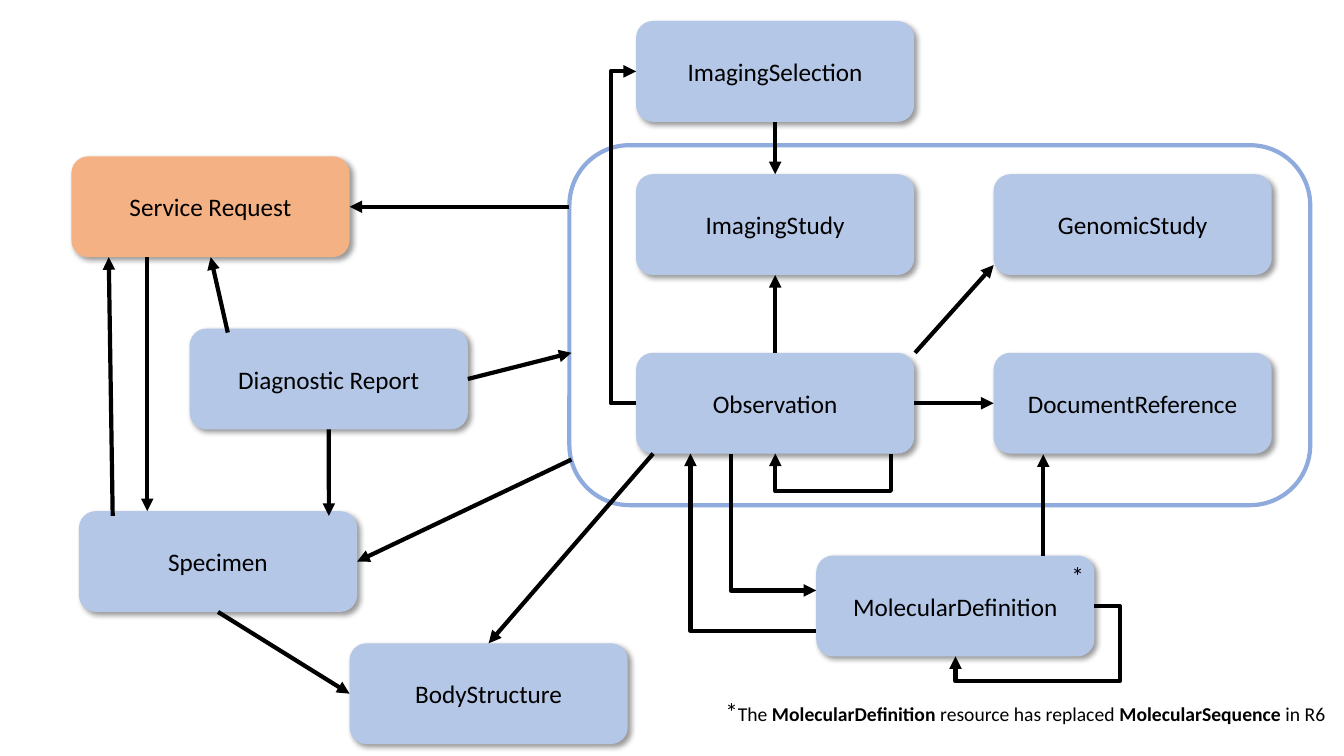
from dataclasses import dataclass

from lxml import etree
from pptx import Presentation
from pptx import util as u
from pptx.dml.color import RGBColor
from pptx.enum import shapes, text
from pptx.oxml.ns import qn


@dataclass(frozen=True)
class Theme:
    """Colours, type sizes and line width of the diagram."""
    font: str = "Calibri"
    ink: str = "000000"
    blue: str = "B4C7E7"
    orange: str = "F4B183"
    edge: str = "8FAADC"
    body: int = 18
    note: int = 14
    stroke: int = 3


class Board:
    """Draws the elements of one slide in a given theme."""

    def __init__(self, slide, theme):
        """Keep the slide and the theme."""
        self.shapes, self.theme = slide.shapes, theme

    def letter(self, para, runs):
        """Fill a paragraph with (words, size, bold) runs."""
        para.font.name = self.theme.font
        para.font.color.rgb = RGBColor.from_string(self.theme.ink)
        if len({size for _, size, _ in runs}) == 1:
            para.font.size = u.Pt(runs[0][1])
        for words, size, bold in runs:
            run = para.add_run()
            run.text = words
            if para.font.size is None:
                run.font.size = u.Pt(size)
            if bold:
                run.font.bold = True

    def round(self, x, y, w, h):
        """Add a plain rounded rectangle."""
        kind = shapes.MSO_SHAPE.ROUNDED_RECTANGLE
        shape = self.shapes.add_shape(kind, u.Cm(x), u.Cm(y), u.Cm(w), u.Cm(h))
        shape.shadow.inherit = False
        return shape

    def frame(self, x, y, w, h):
        """Add the outlined group frame."""
        shape = self.round(x, y, w, h)
        shape.fill.background()
        shape.line.color.rgb = RGBColor.from_string(self.theme.edge)
        shape.line.width = u.Pt(self.theme.stroke)

    def box(self, label, x, y, fill=None):
        """Add a labelled resource box with a soft shadow."""
        shape = self.round(x, y, 7.01, 2.54)
        shape.fill.solid()
        shape.fill.fore_color.rgb = RGBColor.from_string(fill or self.theme.blue)
        shape.line.fill.background()
        effects = shape.element.spPr.find(qn("a:effectLst"))
        shade = etree.SubElement(effects, qn("a:outerShdw"), blurRad="50800",
                                 dist="38100", dir="2700000", algn="tl", rotWithShape="0")
        tint = etree.SubElement(shade, qn("a:srgbClr"), val=self.theme.ink)
        etree.SubElement(tint, qn("a:alpha"), val="40000")
        frame = shape.text_frame
        frame.vertical_anchor = text.MSO_ANCHOR.MIDDLE
        para = frame.paragraphs[0]
        para.alignment = text.PP_ALIGN.CENTER
        self.letter(para, [(label, self.theme.body, False)])
        return shape

    def ink(self, shape):
        """Give a line its stroke and arrowhead, without shadow."""
        shape.line.color.rgb = RGBColor.from_string(self.theme.ink)
        shape.line.width = u.Pt(self.theme.stroke)
        props = shape.element.spPr
        etree.SubElement(props.find(qn("a:ln")), qn("a:tailEnd"), type="triangle")
        etree.SubElement(props, qn("a:effectLst"))

    def link(self, start, end):
        """Add a straight arrow between points or (box, side) pairs."""
        free = [isinstance(tip[0], (int, float)) for tip in (start, end)]
        spots = [u.Cm(v) for tip, loose in zip((start, end), free)
                 for v in (tip if loose else (0, 0))]
        line = self.shapes.add_connector(shapes.MSO_CONNECTOR.STRAIGHT, *spots)
        if not free[0]:
            line.begin_connect(*start)
        if not free[1]:
            line.end_connect(*end)
        self.ink(line)

    def route(self, *points):
        """Add an arrow with square bends through the points."""
        first, *rest = [(u.Cm(x), u.Cm(y)) for x, y in points]
        pen = self.shapes.build_freeform(*first)
        pen.add_line_segments(rest, close=False)
        shape = pen.convert_to_shape()
        shape.fill.background()
        self.ink(shape)

    def note(self, x, y, w, runs):
        """Add a one-line text box."""
        shape = self.shapes.add_textbox(u.Cm(x), u.Cm(y), u.Cm(w), u.Cm(1.02))
        shape.text_frame.word_wrap = False
        shape.text_frame.auto_size = text.MSO_AUTO_SIZE.SHAPE_TO_FIT_TEXT
        self.letter(shape.text_frame.paragraphs[0], runs)


def main():
    """Build the resource diagram."""
    deck = Presentation()
    deck.slide_width, deck.slide_height = u.Cm(33.87), u.Cm(19.05)
    theme = Theme()
    board = Board(deck.slides.add_slide(deck.slide_layouts[6]), theme)
    top, left, bottom, right = range(4)

    order = board.box("Service Request", 1.8, 3.94, theme.orange)
    report = board.box("Diagnostic Report", 4.78, 8.28)
    sample = board.box("Specimen", 1.99, 12.88)
    study = board.box("ImagingStudy", 16.03, 4.39)
    finding = board.box("Observation", 16.03, 8.89)
    board.box("GenomicStudy", 25.04, 4.39)
    paper = board.box("DocumentReference", 25.04, 8.89)
    choice = board.box("ImagingSelection", 16.03, 0.53)
    organ = board.box("BodyStructure", 8.81, 16.21)
    board.box("MolecularDefinition", 20.57, 14)
    board.frame(14.35, 3.66, 18.67, 9.07)

    for start, end in [
        ((finding, right), (paper, left)),
        ((23.06, 8.89), (25.04, 6.68)),
        ((finding, top), (study, bottom)),
        ((choice, bottom), (study, top)),
        ((5.74, 8.38), (5.31, 6.48)),
        ((2.84, 13), (2.74, 6.48)),
        ((3.71, 6.48), (3.71, 12.88)),
        ((report, bottom), (8.29, 13)),
        ((report, right), (14.4, 8.89)),
        ((14.4, 11.58), (sample, right)),
        ((14.35, 5.21), (order, right)),
        ((sample, bottom), (organ, left)),
        ((16.46, 11.43), (organ, top)),
        ((26.29, 14), (26.29, 11.45)),
    ]:
        board.link(start, end)

    board.route((22.45, 11.43), (22.45, 12.37), (19.54, 12.37), (19.54, 11.43))
    board.route((16.03, 10.16), (15.39, 10.16), (15.39, 1.8), (16.03, 1.8))
    board.route((27.58, 15.27), (28.22, 15.27), (28.22, 17.17), (24.08, 17.17), (24.08, 16.54))
    board.route((20.57, 15.9), (17.4, 15.9), (17.4, 11.43))
    board.route((18.42, 11.43), (18.42, 14.88), (20.57, 14.88))

    board.note(26.75, 14, 0.84, [("*", theme.body, False)])
    board.note(18.03, 17.42, 15.75, [
        ("*", theme.body, False),
        ("The ", theme.note, False),
        ("MolecularDefinition", theme.note, True),
        (" resource has replaced ", theme.note, False),
        ("MolecularSequence", theme.note, True),
        (" in R6", theme.note, False),
    ])
    deck.save("out.pptx")


if __name__ == "__main__":
    main()
